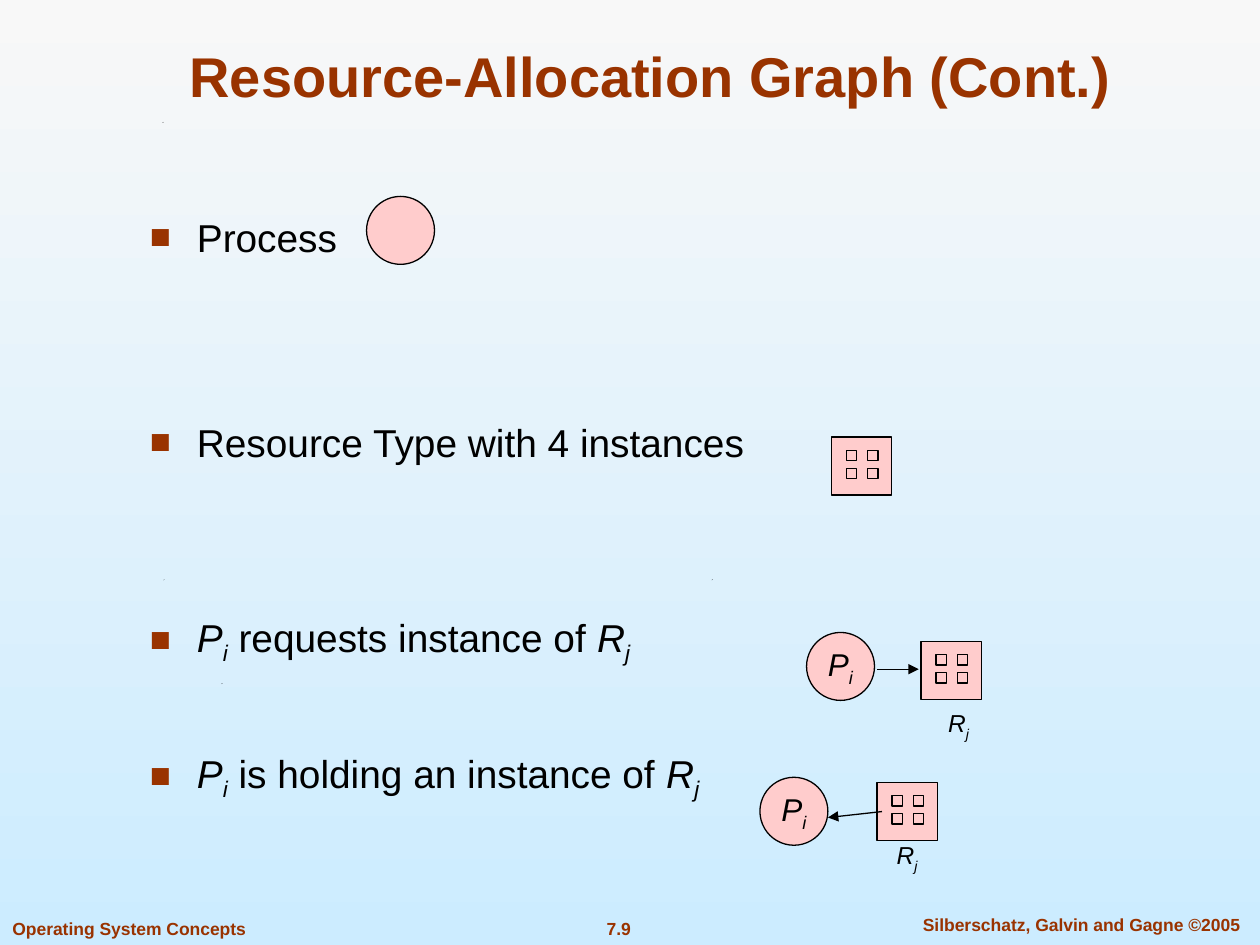
from lxml.etree import SubElement
from pptx import Presentation
from pptx.dml.color import RGBColor
from pptx.enum.shapes import MSO_CONNECTOR, MSO_SHAPE
from pptx.enum.text import MSO_ANCHOR, PP_ALIGN
from pptx.oxml.ns import qn
from pptx.util import Cm, Pt

COLORS = {
    "rust": "993300",
    "black": "000000",
    "pink": "FFCCCC",
    "top": "F8F8F8",
    "bottom": "CCECFF",
}


def rgb(name):
    return RGBColor.from_string(COLORS[name])


class Deck:
    font = "Arial"
    line_width = Pt(0.75)
    circle_size = 1.37
    box_size = (1.22, 1.17)
    dot_size = 0.21
    dot_start = (0.3, 0.27)
    dot_step = (0.43, 0.36)

    def __init__(self, slide):
        self.slide = slide
        self.shapes = slide.shapes

    def start_group(self):
        self.shapes = self.slide.shapes.add_group_shape().shapes

    def end_group(self):
        self.shapes = self.slide.shapes

    def background(self):
        fill = self.slide.background.fill
        fill.gradient()
        fill.gradient_angle = 270
        for stop, name in zip(fill.gradient_stops, ("top", "bottom")):
            stop.color.rgb = rgb(name)

    def runs(self, p, parts, size, color="black", bold=False):
        for text, style in parts:
            r = p.add_run()
            r.text = text
            r.font.name = self.font
            r.font.size = Pt(size)
            r.font.bold = bold
            r.font.italic = style in ("var", "sub")
            r.font.color.rgb = rgb(color)
            if style == "sub":
                r.font._element.set("baseline", "-25000")

    def title(self, text):
        sp = self.shapes.title
        sp.left, sp.top, sp.width, sp.height = Cm(1.9), Cm(0.62), Cm(22.43), Cm(1.7)
        tf = sp.text_frame
        tf.vertical_anchor = MSO_ANCHOR.BOTTOM
        p = tf.paragraphs[0]
        p.alignment = PP_ALIGN.CENTER
        self.runs(p, [(text, "")], 32, "rust", True)

    def text(self, x, y, w, h, parts, size, color="black", bold=False,
             align=PP_ALIGN.CENTER, wrap=False, anchor=MSO_ANCHOR.TOP, side=0.25):
        sp = self.shapes.add_textbox(Cm(x), Cm(y), Cm(w), Cm(h))
        tf = sp.text_frame
        tf.word_wrap = wrap
        tf.vertical_anchor = anchor
        tf.margin_left = tf.margin_right = Cm(side)
        p = tf.paragraphs[0]
        p.alignment = align
        self.runs(p, parts, size, color, bold)

    def bullets(self, x, y, w, h, items, size):
        tf = self.shapes.add_textbox(Cm(x), Cm(y), Cm(w), Cm(h)).text_frame
        tf.word_wrap = True
        for i, (gap, parts) in enumerate(items):
            p = tf.add_paragraph() if i else tf.paragraphs[0]
            p.space_before = Pt(gap)
            pPr = p._p.get_or_add_pPr()
            pPr.set("marL", str(Cm(0.95)))
            pPr.set("indent", str(-Cm(0.95)))
            clr = SubElement(pPr, qn("a:buClr"))
            SubElement(clr, qn("a:srgbClr"), val=COLORS["rust"])
            SubElement(pPr, qn("a:buSzPct"), val="90000")
            SubElement(pPr, qn("a:buFont"), typeface=self.font)
            SubElement(pPr, qn("a:buChar"), char="■")
            self.runs(p, parts, size)

    def shape(self, kind, x, y, w, h):
        sp = self.shapes.add_shape(kind, Cm(x), Cm(y), Cm(w), Cm(h))
        sp.shadow.inherit = False
        sp.fill.solid()
        sp.fill.fore_color.rgb = rgb("pink")
        sp.line.color.rgb = rgb("black")
        sp.line.width = self.line_width
        return sp

    def process(self, x, y, parts=()):
        sp = self.shape(MSO_SHAPE.OVAL, x, y, self.circle_size, self.circle_size)
        tf = sp.text_frame
        tf.word_wrap = False
        tf.vertical_anchor = MSO_ANCHOR.MIDDLE
        p = tf.paragraphs[0]
        p.alignment = PP_ALIGN.CENTER
        self.runs(p, parts, 18)

    def resource(self, x, y):
        self.shape(MSO_SHAPE.RECTANGLE, x, y, *self.box_size)
        for row in range(2):
            for col in range(2):
                self.shape(MSO_SHAPE.RECTANGLE,
                           x + self.dot_start[0] + col * self.dot_step[0],
                           y + self.dot_start[1] + row * self.dot_step[1],
                           self.dot_size, self.dot_size)

    def arrow(self, x1, y1, x2, y2):
        line = self.shapes.add_connector(MSO_CONNECTOR.STRAIGHT, Cm(x1), Cm(y1), Cm(x2), Cm(y2))
        line.line.color.rgb = rgb("black")
        line.line.width = self.line_width
        SubElement(line.line._get_or_add_ln(), qn("a:tailEnd"), type="triangle")
        SubElement(line._element.spPr, qn("a:effectLst"))

    def speck(self, x, y):
        d = Cm(0.02)
        fb = self.shapes.build_freeform(Cm(x), Cm(y) + d)
        fb.add_line_segments([(Cm(x) + d, Cm(y)), (Cm(x), Cm(y) + d // 2)])
        sp = fb.convert_to_shape()
        sp.shadow.inherit = False
        sp.fill.solid()
        sp.fill.fore_color.rgb = rgb("black")
        sp.line.fill.background()


def main():
    prs = Presentation()
    prs.slide_width, prs.slide_height = Cm(25.4), Cm(19.05)
    s = Deck(prs.slides.add_slide(prs.slide_layouts[5]))
    s.background()

    for x, y in [(4.47, 13.77), (3.3, 11.68), (14.35, 11.68), (3.28, 2.46)]:
        s.speck(x, y)
    for x, y, w, text, align, wrap in [
        (11.23, 18.38, 2.49, "7.9", PP_ALIGN.CENTER, False),
        (18.03, 18.3, 7.54, "Silberschatz, Galvin and Gagne ©2005", PP_ALIGN.CENTER, True),
        (0, 18.38, 5.21, "Operating System Concepts", PP_ALIGN.LEFT, False),
    ]:
        s.text(x, y, w, 0.69, [(text, "")], 10, "rust", True, align, wrap)

    s.title("Resource-Allocation Graph (Cont.)")
    p_i = [("P", "var"), ("i", "sub")]
    r_j = [("R", "var"), ("j", "sub")]
    s.bullets(2.77, 4.18, 20.42, 12.45, [
        (0, [("Process", "")]),
        (90.3, [("Resource Type with 4 instances", "")]),
        (84.9, p_i + [(" requests instance of ", "")] + r_j),
        (47.4, p_i + [(" is holding an instance of ", "")] + r_j),
    ], 22.2)

    s.process(7.39, 3.96)
    s.start_group()
    s.resource(16.76, 8.81)
    for process, resource, arrow, label in [
        ((16.26, 12.75), (18.57, 12.93), (17.68, 13.49, 18.52, 13.49), (18.87, 14.15)),
        ((15.32, 15.67), (17.68, 15.77), (17.78, 16.36, 16.69, 16.48), (17.83, 16.81)),
    ]:
        s.start_group()
        s.process(*process, p_i)
        s.resource(*resource)
        s.arrow(*arrow)
        s.end_group()
        s.text(*label, 0.91, 0.94, r_j, 14, anchor=MSO_ANCHOR.MIDDLE, side=0)

    prs.save("out.pptx")


if __name__ == "__main__":
    main()
